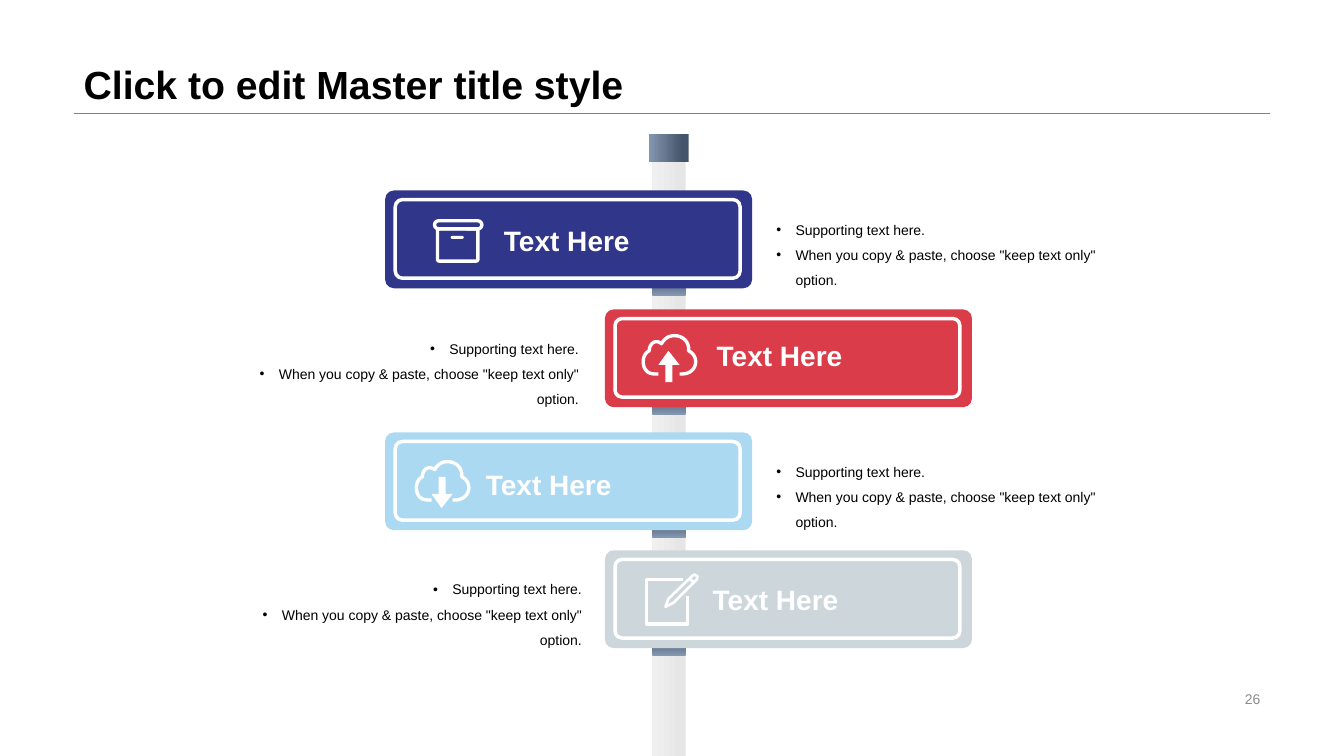
from dataclasses import dataclass

from lxml import etree
from pptx import Presentation
from pptx.dml.color import RGBColor
from pptx.enum.shapes import MSO_CONNECTOR, MSO_SHAPE
from pptx.enum.text import MSO_ANCHOR, MSO_AUTO_SIZE, PP_ALIGN
from pptx.oxml.ns import qn
from pptx.util import Inches, Pt

RECTANGLE, ROUNDED = MSO_SHAPE.RECTANGLE, MSO_SHAPE.ROUNDED_RECTANGLE
STRAIGHT = MSO_CONNECTOR.STRAIGHT
LEFT, RIGHT = PP_ALIGN.LEFT, PP_ALIGN.RIGHT
TOP, MIDDLE, BOTTOM = MSO_ANCHOR.TOP, MSO_ANCHOR.MIDDLE, MSO_ANCHOR.BOTTOM
NO_FIT = MSO_AUTO_SIZE.NONE

# Content
TITLE = "Click to edit Master title style"
PAGE_NUMBER = "26"
LABEL = "Text Here"
SUPPORT = ["Supporting text here.",
           'When you copy & paste, choose "keep text only" option.']
# Sign left and top, colour, label left and top, list left and alignment
SIGNS = [
    (3.82, 1.89, "303689", (4.9, 2.17), 7.6, LEFT),
    (6.0, 3.07, "DA3C49", (7.01, 3.31), 2.04, RIGHT),
    (3.82, 4.29, "ACD9F2", (4.72, 4.59), 7.6, LEFT),
    (6.0, 5.46, "CDD7DB", (6.97, 5.73), 2.07, RIGHT),
]

# Icon outlines, in inches from the icon's corner
CLOUD_START = (0.17, 0.4)
CLOUD_CURVES = [
    [(0.16, 0.4), (0.14, 0.4), (0.13, 0.4)],
    [(0.06, 0.4), (0.02, 0.35), (0.02, 0.28)],
    [(0.02, 0.23), (0.04, 0.19), (0.08, 0.17)],
    [(0.08, 0.12), (0.11, 0.08), (0.15, 0.08)],
    [(0.17, 0.08), (0.19, 0.09), (0.2, 0.1)],
    [(0.23, 0.05), (0.27, 0.02), (0.33, 0.02)],
    [(0.41, 0.02), (0.48, 0.08), (0.47, 0.17)],
    [(0.51, 0.19), (0.54, 0.23), (0.54, 0.28)],
    [(0.54, 0.35), (0.48, 0.4), (0.41, 0.4)],
    [(0.4, 0.4), (0.39, 0.4), (0.38, 0.4)],
]
ARROW_UP = [(0.1, 0), (0, 0.14), (0.07, 0.14), (0.07, 0.31),
            (0.14, 0.31), (0.14, 0.14), (0.21, 0.14)]
ARROW_DOWN = [(x, 0.31 - y) for x, y in ARROW_UP]
NOTE_EDGE = [(0.38, 0.02), (0.02, 0.02), (0.02, 0.46), (0.43, 0.46), (0.43, 0.18)]
PENCIL = [(0.21, 0.33), (0.24, 0.25), (0.48, 0.02), (0.5, 0.01),
          (0.53, 0.03), (0.52, 0.06), (0.29, 0.29)]
PENCIL_BAND = [(0.48, 0.1), (0.44, 0.06), (0.46, 0.04), (0.5, 0.08)]


@dataclass(frozen=True)
class Theme:
    font: str = "Arial"
    text: str = "000000"
    white: str = "FFFFFF"
    rule: str = "808080"
    number: str = "8C8C8C"
    post: tuple = ("E7E6E6", "F1F0F0")
    metal: tuple = ("44546A", "8497B0")
    title_size: int = 28
    label_size: int = 20
    body_size: int = 10
    border: float = 2.5
    icon_line: float = 2.4
    pencil_line: float = 1.8


theme = Theme()
presentation = Presentation()
presentation.slide_width, presentation.slide_height = Inches(13.33), Inches(7.5)
slide = presentation.slides.add_slide(presentation.slide_layouts.get_by_name("Comparison"))
title, *lists = slide.placeholders


def rgb(color):
    return RGBColor.from_string(color)


def place(shape, *box):
    shape.left, shape.top, shape.width, shape.height = map(Inches, box)


def style(shape, fill=None, line=None, width=1.0):
    shape.shadow.inherit = False
    if fill:
        shape.fill.solid()
        shape.fill.fore_color.rgb = rgb(fill)
    else:
        shape.fill.background()
    if line:
        shape.line.color.rgb = rgb(line)
        shape.line.width = Pt(width)
    else:
        shape.line.fill.background()


def add_box(kind, box, radius=None, **look):
    shape = slide.shapes.add_shape(kind, *map(Inches, box))
    if radius is not None:
        shape.adjustments[0] = radius
    style(shape, **look)
    return shape


def add_gradient(box, colors, first_stop, angle):
    shape = add_box(RECTANGLE, box)
    shape.fill.gradient()
    shape.fill.gradient_angle = angle
    for stop, color, position in zip(shape.fill.gradient_stops, colors, (first_stop, 1)):
        stop.color.rgb = rgb(color)
        stop.position = position


def add_outline(left, top, points, close=True, **look):
    start, *rest = [(Inches(left + x), Inches(top + y)) for x, y in points]
    builder = slide.shapes.build_freeform(*start)
    builder.add_line_segments(rest, close=close)
    style(builder.convert_to_shape(), **look)


def format_paragraph(paragraph, size, color, bold=False, align=LEFT):
    paragraph.alignment = align
    font = paragraph.font
    font.name, font.size, font.bold = theme.font, Pt(size), bold
    font.color.rgb = rgb(color)


def add_text(text, box, size, color, bold=False, align=LEFT, anchor=TOP, wrap=True):
    frame = slide.shapes.add_textbox(*map(Inches, box)).text_frame
    frame.text, frame.word_wrap, frame.vertical_anchor = text, wrap, anchor
    format_paragraph(frame.paragraphs[0], size, color, bold, align)


def fill_list(placeholder, left, top, align):
    place(placeholder, left, top, 3.8, 0.63)
    frame = placeholder.text_frame
    frame.text = "\n".join(SUPPORT)
    frame.vertical_anchor, frame.auto_size = TOP, NO_FIT
    for paragraph in frame.paragraphs:
        paragraph.line_spacing, paragraph.space_before = 1.5, Pt(0)
        properties = paragraph._p.get_or_add_pPr()
        properties.set("marL", str(Inches(0.19)))
        properties.set("indent", str(-Inches(0.19)))
        etree.SubElement(properties, qn("a:buFont")).set("typeface", theme.font)
        etree.SubElement(properties, qn("a:buChar")).set("char", "•")
        format_paragraph(paragraph, theme.body_size, theme.text, align=align)


def cloud_points(steps=8):
    points = [CLOUD_START]
    for b, c, d in CLOUD_CURVES:
        a = points[-1]
        for step in range(1, steps + 1):
            t = step / steps
            weights = ((1 - t) ** 3, 3 * t * (1 - t) ** 2, 3 * t * t * (1 - t), t ** 3)
            points.append(tuple(sum(w * p[axis] for w, p in zip(weights, (a, b, c, d)))
                                for axis in (0, 1)))
    return points


def add_cloud(left, top, arrow):
    add_outline(left, top, cloud_points(), close=False, line=theme.white, width=theme.icon_line)
    add_outline(left + 0.17, top + 0.17, arrow, fill=theme.white)


# Title, rule and page number
place(title, 0.73, 0, 11.87, 1.12)
title.text_frame.text = TITLE
title.text_frame.vertical_anchor, title.text_frame.auto_size = BOTTOM, NO_FIT
title.text_frame.paragraphs[0].line_spacing = 0.9
format_paragraph(title.text_frame.paragraphs[0], theme.title_size, theme.text, bold=True)
rule = slide.shapes.add_connector(STRAIGHT, *map(Inches, (0.73, 1.12, 12.6, 1.12)))
rule.line.color.rgb, rule.line.width = rgb(theme.rule), Pt(0.25)
etree.SubElement(rule._element.spPr, qn("a:effectLst"))
add_text(PAGE_NUMBER, (9.42, 6.82, 3.18, 0.23), theme.body_size, theme.number,
         align=RIGHT, anchor=MIDDLE)

# Post and cap
add_gradient((6.47, 1.5, 0.33, 6), theme.post, 0.15, 180)
add_gradient((6.44, 1.33, 0.39, 0.28), theme.metal, 0.15, 180)

# Signs with their brackets, labels and lists
for placeholder, (left, top, color, label_at, list_left, align) in zip(lists, SIGNS):
    add_gradient((6.47, top + 0.72, 0.33, 0.32), theme.metal, 0.46, 270)
    add_box(ROUNDED, (left, top, 3.64, 0.97), radius=0.09, fill=color)
    add_box(ROUNDED, (left + 0.1, top + 0.09, 3.42, 0.78), radius=0.09,
            line=theme.white, width=theme.border)
    add_text(LABEL, (*label_at, 1.46, 0.44), theme.label_size, theme.white,
             bold=True, wrap=False)
    fill_list(placeholder, list_left, top + 0.17, align)

# Archive box icon
add_box(ROUNDED, (4.31, 2.19, 0.47, 0.08), radius=0.5, line=theme.white, width=theme.icon_line)
add_box(ROUNDED, (4.34, 2.27, 0.4, 0.32), radius=0.05, line=theme.white, width=theme.icon_line)
add_box(ROUNDED, (4.47, 2.34, 0.13, 0.03), radius=0.5, fill=theme.white)

# Cloud icons
add_cloud(6.36, 3.31, ARROW_UP)
add_cloud(4.11, 4.56, ARROW_DOWN)

# Note and pencil icon
add_outline(6.39, 5.73, NOTE_EDGE, close=False, line=theme.white, width=theme.icon_line)
add_outline(6.39, 5.69, PENCIL, line=theme.white, width=theme.pencil_line)
add_outline(6.39, 5.69, PENCIL_BAND, fill=theme.white)

presentation.save("out.pptx")
